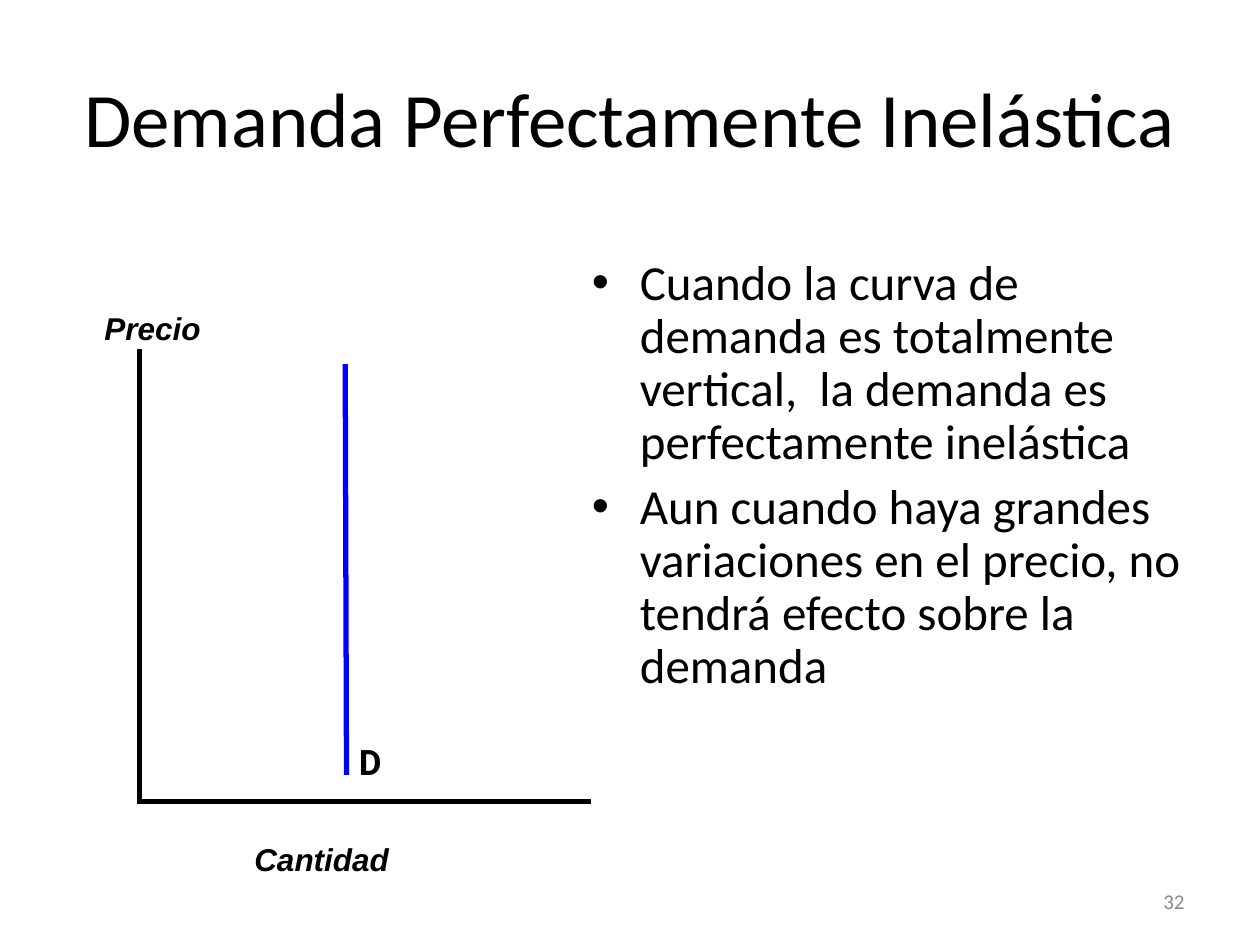
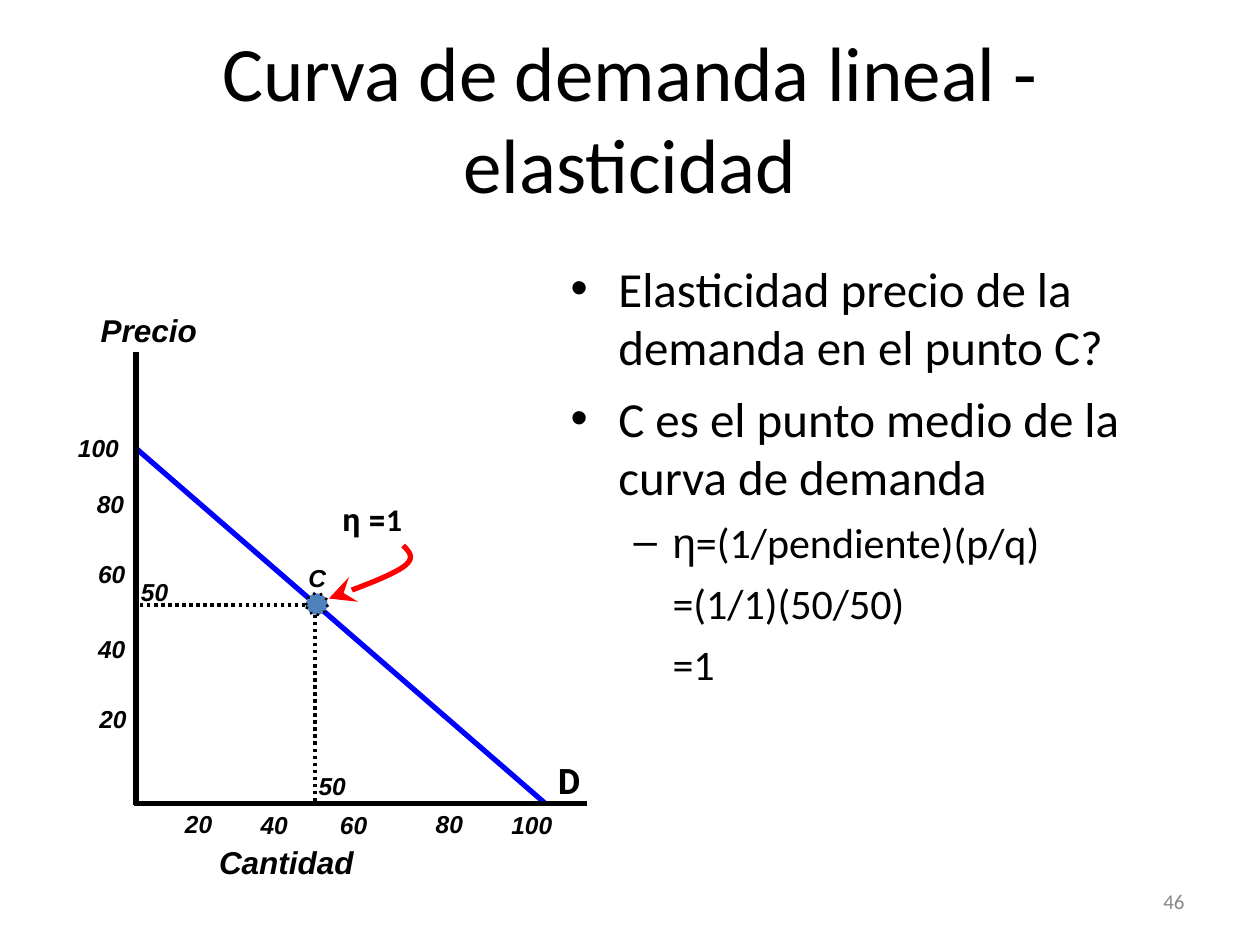
"""Two slides on demand elasticity, each with a demand diagram beside bullet points."""
from lxml.etree import SubElement
from pptx import Presentation
from pptx.dml.color import RGBColor
from pptx.enum.dml import MSO_LINE_DASH_STYLE as Dash
from pptx.enum.shapes import MSO_CONNECTOR as Connector, MSO_SHAPE as Preset
from pptx.enum.text import MSO_ANCHOR as Anchor, MSO_AUTO_SIZE as AutoSize, PP_ALIGN as Align
from pptx.oxml.ns import qn
from pptx.util import Inches, Pt

COLORS = {"ink": "000000", "demand": "0000FF", "number": "898989", "point": "4F81BD", "arrow": "FF0000"}
STYLES = {
    "title": {"name": "Calibri", "size": Pt(44)},
    "bullet": {"name": "Calibri", "size": Pt(28)},
    "formula": {"name": "Calibri", "size": Pt(24)},
    "eta": {"name": "Arial", "size": Pt(24)},
    "number": {"name": "Calibri", "size": Pt(12)},
    "axis": {"name": "Arial", "size": Pt(18), "bold": True, "italic": True},
    "tick": {"name": "Arial", "size": Pt(14), "bold": True, "italic": True},
    "curve": {"name": "Roboto", "size": Pt(20), "bold": True},
    "elasticity": {"name": "Roboto", "size": Pt(18), "bold": True},
    "elasticity value": {"name": "Calibri", "size": Pt(18), "bold": True},
}
LEVELS = {
    "bullet": {"margin": 0.38, "indent": -0.38, "space": 7, "mark": "•"},
    "dash": {"margin": 0.81, "indent": -0.31, "space": 6, "mark": "–"},
    "result": {"margin": 0.81, "indent": 0, "space": 6, "mark": None},
}
SLIDES = [
    {
        "title": "Demanda Perfectamente Inelástica", "number": "32",
        "body": (4.6, 2, 4.9, 4.7), "line spacing": 0.9,
        "points": [
            ("bullet", [("Cuando la curva de demanda es totalmente vertical,  la demanda es perfectamente inelástica", "bullet")]),
            ("bullet", [("Aun cuando haya grandes variaciones en el precio, no tendrá efecto sobre la demanda", "bullet")]),
        ],
        "lines": [
            ((2.74, 2.89), (2.75, 6.15), "demand", 3, None),
            ((1.11, 2.77), (1.11, 6.37), "ink", 3, None),
            ((1.09, 6.36), (4.69, 6.36), "ink", 3, None),
        ],
        "labels": [
            ((1.92, 6.62, 1.3, 0.4), [("Cantidad", "axis")]),
            ((0.73, 2.4, 1, 0.4), [("Precio", "axis")]),
            ((2.75, 5.83, 0.42, 0.44), [("D", "curve")]),
        ],
        "ticks": [],
    },
    {
        "title": "Curva de demanda lineal - elasticidad", "number": "46",
        "body": (4.43, 2, 5.07, 4.7), "line spacing": 1.0,
        "points": [
            ("bullet", [("Elasticidad precio de la demanda en el punto C?", "bullet")]),
            ("bullet", [("C es el punto medio de la curva de demanda", "bullet")]),
            ("dash", [("η", "eta"), ("=(1/pendiente)(p/q)", "formula")]),
            ("result", [("=(1/1)(50/50)", "formula")]),
            ("result", [("=1", "formula")]),
        ],
        "lines": [
            ((1.07, 3.55), (4.32, 6.37), "demand", 3, None),
            ((1.08, 2.79), (1.08, 6.39), "ink", 3, None),
            ((1.06, 6.38), (4.66, 6.38), "ink", 3, None),
            ((2.5, 6.36), (2.5, 4.78), "ink", 2, Dash.ROUND_DOT),
            ((2.48, 4.8), (1.07, 4.8), "ink", 2, Dash.ROUND_DOT),
        ],
        "labels": [
            ((1.64, 6.64, 1.3, 0.4), [("Cantidad", "axis")]),
            ((0.7, 2.42, 1, 0.4), [("Precio", "axis")]),
            ((4.33, 5.98, 0.42, 0.44), [("D", "curve")]),
            ((2.62, 3.92, 0.72, 0.4), [("η =", "elasticity"), ("1", "elasticity value")]),
        ],
        "ticks": [
            ("20", 0.69, 5.54), ("40", 0.68, 4.98), ("60", 0.68, 4.39), ("80", 0.67, 3.83), ("100", 0.52, 3.39),
            ("20", 1.37, 6.37), ("40", 1.97, 6.38), ("60", 2.6, 6.38), ("80", 3.36, 6.37), ("100", 3.96, 6.38),
            ("50", 2.43, 6.07), ("50", 1.02, 4.53), ("C", 2.35, 4.42),
        ],
    },
]
TICK_WIDTHS = {1: 0.36, 2: 0.44, 3: 0.55}


def add_runs(paragraph, runs, color="ink"):
    for text, style in runs:
        run = paragraph.add_run()
        run.text = text
        for attribute, value in STYLES[style].items():
            setattr(run.font, attribute, value)
        run.font.color.rgb = RGBColor.from_string(COLORS[color])


def add_text_box(slide, place, wrap=False):
    frame = slide.shapes.add_textbox(*map(Inches, place)).text_frame
    frame.word_wrap = wrap
    frame.auto_size = AutoSize.NONE if wrap else AutoSize.SHAPE_TO_FIT_TEXT
    return frame


presentation = Presentation()
presentation.slide_width, presentation.slide_height = Inches(10), Inches(7.5)

for content in SLIDES:
    slide = presentation.slides.add_slide(presentation.slide_layouts[5])

    title = slide.shapes.title
    title.left, title.top, title.width, title.height = map(Inches, (0.5, 0.3, 9, 1.25))
    title.text_frame.auto_size = AutoSize.NONE
    title.text_frame.vertical_anchor = Anchor.MIDDLE
    title.text_frame.paragraphs[0].alignment = Align.CENTER
    add_runs(title.text_frame.paragraphs[0], [(content["title"], "title")])

    number = add_text_box(slide, (7.17, 6.95, 2.33, 0.4), wrap=True)
    number.vertical_anchor = Anchor.MIDDLE
    number.paragraphs[0].alignment = Align.RIGHT
    add_runs(number.paragraphs[0], [(content["number"], "number")], "number")

    body = add_text_box(slide, content["body"], wrap=True)
    for index, (level_name, runs) in enumerate(content["points"]):
        level = LEVELS[level_name]
        paragraph = body.add_paragraph() if index else body.paragraphs[0]
        paragraph.space_before = Pt(level["space"])
        paragraph.line_spacing = content["line spacing"]
        properties = paragraph._p.get_or_add_pPr()
        properties.set("marL", str(Inches(level["margin"])))
        properties.set("indent", str(Inches(level["indent"])))
        if level["mark"]:
            SubElement(properties, qn("a:buFont"), typeface="Arial")
            SubElement(properties, qn("a:buChar"), char=level["mark"])
        add_runs(paragraph, runs)

    for start, end, color, width, dash in content["lines"]:
        line = slide.shapes.add_connector(Connector.STRAIGHT, *map(Inches, start + end))
        line.line.color.rgb = RGBColor.from_string(COLORS[color])
        line.line.width = Pt(width)
        if dash:
            line.line.dash_style = dash
        SubElement(line._element.spPr, qn("a:effectLst"))

    for place, runs in content["labels"]:
        add_runs(add_text_box(slide, place).paragraphs[0], runs)

    for text, left, top in content["ticks"]:
        frame = add_text_box(slide, (left, top, TICK_WIDTHS[len(text)], 0.34))
        add_runs(frame.paragraphs[0], [(text, "tick")])

midpoint = slide.shapes.add_shape(Preset.OVAL, *map(Inches, (2.43, 4.71, 0.17, 0.17)))
midpoint.shadow.inherit = False
midpoint.fill.solid()
midpoint.fill.fore_color.rgb = RGBColor.from_string(COLORS["point"])
midpoint.line.color.rgb = RGBColor.from_string(COLORS["ink"])
midpoint.line.width = Pt(2)
midpoint.line.dash_style = Dash.ROUND_DOT
midpoint.line._get_or_add_ln().set("cap", "rnd")

curve_points = []
for controls in (
    ((2.61, 4.75), (2.86, 4.66), (3.1, 4.57), (3.2, 4.5)),
    ((3.2, 4.5), (3.3, 4.43), (3.25, 4.38), (3.2, 4.33)),
):
    for step in range(13):
        t = step / 12
        weights = ((1 - t) ** 3, 3 * t * (1 - t) ** 2, 3 * t**2 * (1 - t), t**3)
        curve_points.append(
            tuple(Inches(sum(w * point[axis] for w, point in zip(weights, controls))) for axis in (0, 1))
        )
builder = slide.shapes.build_freeform(*curve_points[0])
builder.add_line_segments(curve_points[1:], close=False)
arrow = builder.convert_to_shape()
arrow.shadow.inherit = False
arrow.fill.background()
arrow.line.color.rgb = RGBColor.from_string(COLORS["arrow"])
arrow.line.width = Pt(3)
SubElement(arrow.line._get_or_add_ln(), qn("a:headEnd"), type="stealth", w="lg", len="lg")

presentation.save("out.pptx")
